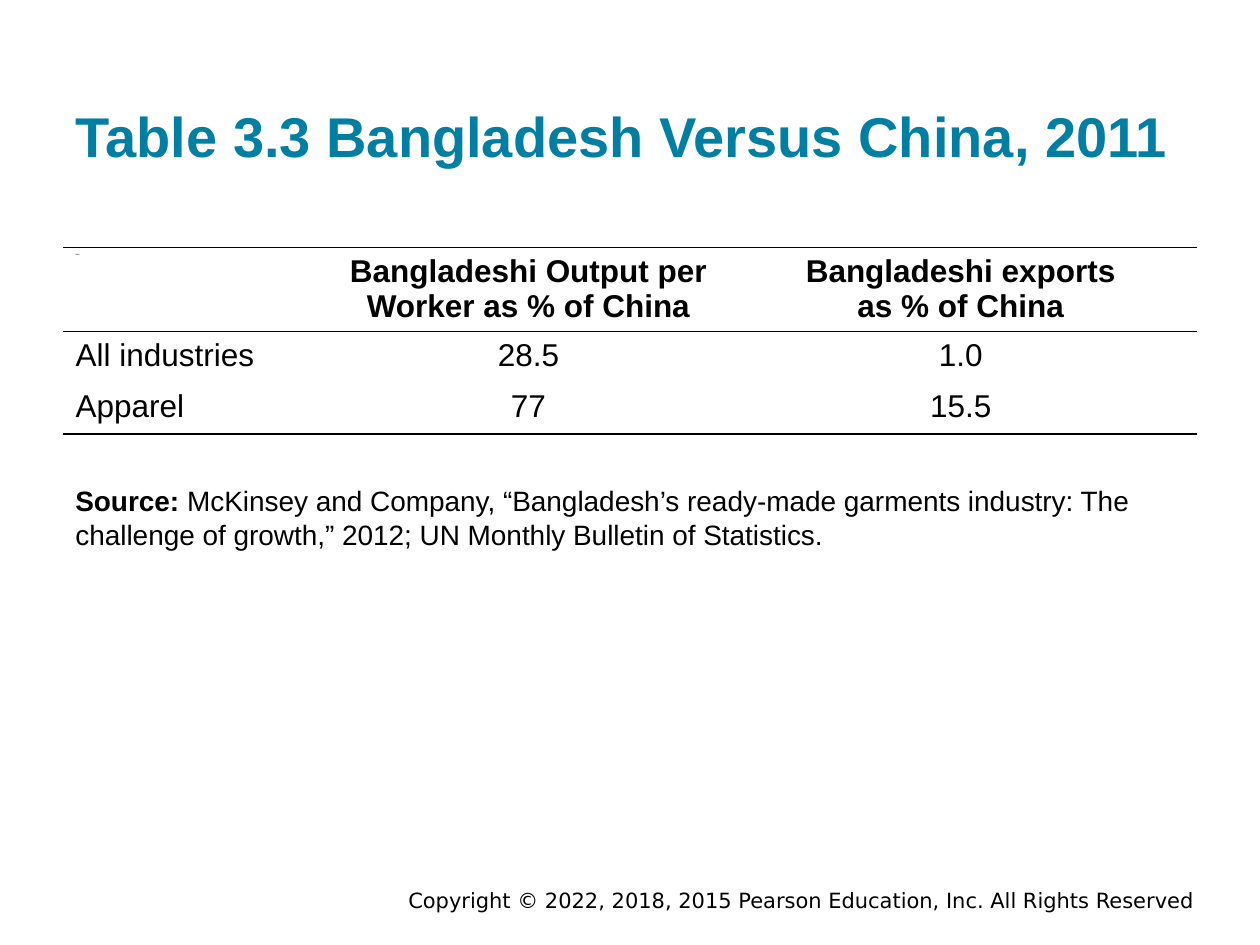
from dataclasses import dataclass

from lxml.etree import SubElement
from pptx import Presentation
from pptx.dml.color import RGBColor
from pptx.enum.text import MSO_ANCHOR, MSO_AUTO_SIZE, PP_ALIGN
from pptx.oxml.ns import qn
from pptx.util import Pt


@dataclass(frozen=True)
class Theme:
    heading: RGBColor = RGBColor(0x00, 0x7F, 0xA3)
    ink: RGBColor = RGBColor(0, 0, 0)
    font: str = "Arial"
    footer_font: str = "DejaVu Sans"
    title_size: int = 32
    table_size: int = 18
    source_size: int = 16
    footer_size: int = 12
    tiny_size: int = 1
    rule_width: int = 1


THEME = Theme()
HEADERS = ["Blank", "Bangladeshi Output per Worker as % of China",
           "Bangladeshi exports\nas % of China"]
ROWS = [["All industries", "28.5", "1.0"], ["Apparel", "77", "15.5"]]
COLUMN_WIDTHS = [154, 224, 270]
ROW_HEIGHTS = [48, 29.2, 29.2]


def style(paragraph, size, color=THEME.ink, bold=False, name=THEME.font,
          alignment=PP_ALIGN.LEFT):
    paragraph.alignment = alignment
    font = paragraph.font
    font.name, font.size, font.bold = name, Pt(size), bold
    font.color.rgb = color


def set_frame(frame, anchor, vertical_inset):
    frame.word_wrap = True
    frame.auto_size = MSO_AUTO_SIZE.NONE
    frame.vertical_anchor = anchor
    frame.margin_left = frame.margin_right = Pt(7.2)
    frame.margin_top = frame.margin_bottom = Pt(vertical_inset)


def set_borders(cell, ruled_sides):
    """Rule the named sides (T, B) and clear the other ones."""
    properties = cell._tc.get_or_add_tcPr()
    for index, side in enumerate("LRTB"):
        line = SubElement(properties, qn(f"a:ln{side}"))
        properties.insert(index, line)
        if side in ruled_sides:
            line.set("w", str(Pt(THEME.rule_width)))
            fill = SubElement(line, qn("a:solidFill"))
            SubElement(fill, qn("a:srgbClr")).set("val", str(THEME.ink))
        else:
            SubElement(line, qn("a:noFill"))


def add_title(slide, left, top, width, height):
    title = slide.shapes.title
    title.left, title.top = Pt(left), Pt(top)
    title.width, title.height = Pt(width), Pt(height)
    title.text = "Table 3.3 Bangladesh Versus China, 2011"
    set_frame(title.text_frame, MSO_ANCHOR.BOTTOM, 7.2)
    style(title.text_frame.paragraphs[0], THEME.title_size, THEME.heading, True)


def add_comparison_table(slide, left, top):
    contents = [HEADERS, *ROWS]
    table = slide.shapes.add_table(
        len(contents), len(HEADERS), Pt(left), Pt(top),
        Pt(sum(COLUMN_WIDTHS)), Pt(sum(ROW_HEIGHTS))).table
    table.horz_banding = False
    for column, width in zip(table.columns, COLUMN_WIDTHS):
        column.width = Pt(width)
    for row, height in zip(table.rows, ROW_HEIGHTS):
        row.height = Pt(height)

    # Rules above and below the header, and below the last row
    row_rules = ["TB", "T", "B"]
    for row_index, values in enumerate(contents):
        for column_index, value in enumerate(values):
            cell = table.cell(row_index, column_index)
            cell.text = value
            cell.fill.background()
            set_borders(cell, row_rules[row_index])
            header = row_index == 0
            corner = header and column_index == 0
            for paragraph in cell.text_frame.paragraphs:
                style(paragraph,
                      THEME.tiny_size if corner else THEME.table_size,
                      bold=header and not corner,
                      alignment=PP_ALIGN.CENTER if column_index else PP_ALIGN.LEFT)


def add_source(slide, left, top, width, height):
    box = slide.shapes.add_textbox(Pt(left), Pt(top), Pt(width), Pt(height))
    set_frame(box.text_frame, MSO_ANCHOR.TOP, 7.2)
    paragraph = box.text_frame.paragraphs[0]
    style(paragraph, THEME.source_size)
    label = paragraph.add_run()
    label.text = "Source: "
    label.font.bold = True
    paragraph.add_run().text = (
        "McKinsey and Company, “Bangladesh’s ready-made garments industry: "
        "The challenge of growth,” 2012; UN Monthly Bulletin of Statistics.")


def add_footer(slide, left, top, width, height):
    box = slide.shapes.add_textbox(Pt(left), Pt(top), Pt(width), Pt(height))
    set_frame(box.text_frame, MSO_ANCHOR.MIDDLE, 3.6)
    paragraph = box.text_frame.paragraphs[0]
    paragraph.text = ("Copyright © 2022, 2018, 2015 Pearson Education, Inc. "
                      "All Rights Reserved")
    style(paragraph, THEME.footer_size, name=THEME.footer_font,
          alignment=PP_ALIGN.RIGHT)


def main():
    presentation = Presentation()
    presentation.slide_width, presentation.slide_height = Pt(720), Pt(540)
    slide = presentation.slides.add_slide(presentation.slide_layouts[5])
    margin, content_width = 36, 648
    add_title(slide, margin, 17.3, content_width, 86.4)
    add_comparison_table(slide, margin, 141.5)
    add_source(slide, margin, 269.3, content_width, 54.7)
    add_footer(slide, 126, 506.2, 563.8, 15.8)
    presentation.save("out.pptx")


if __name__ == "__main__":
    main()
